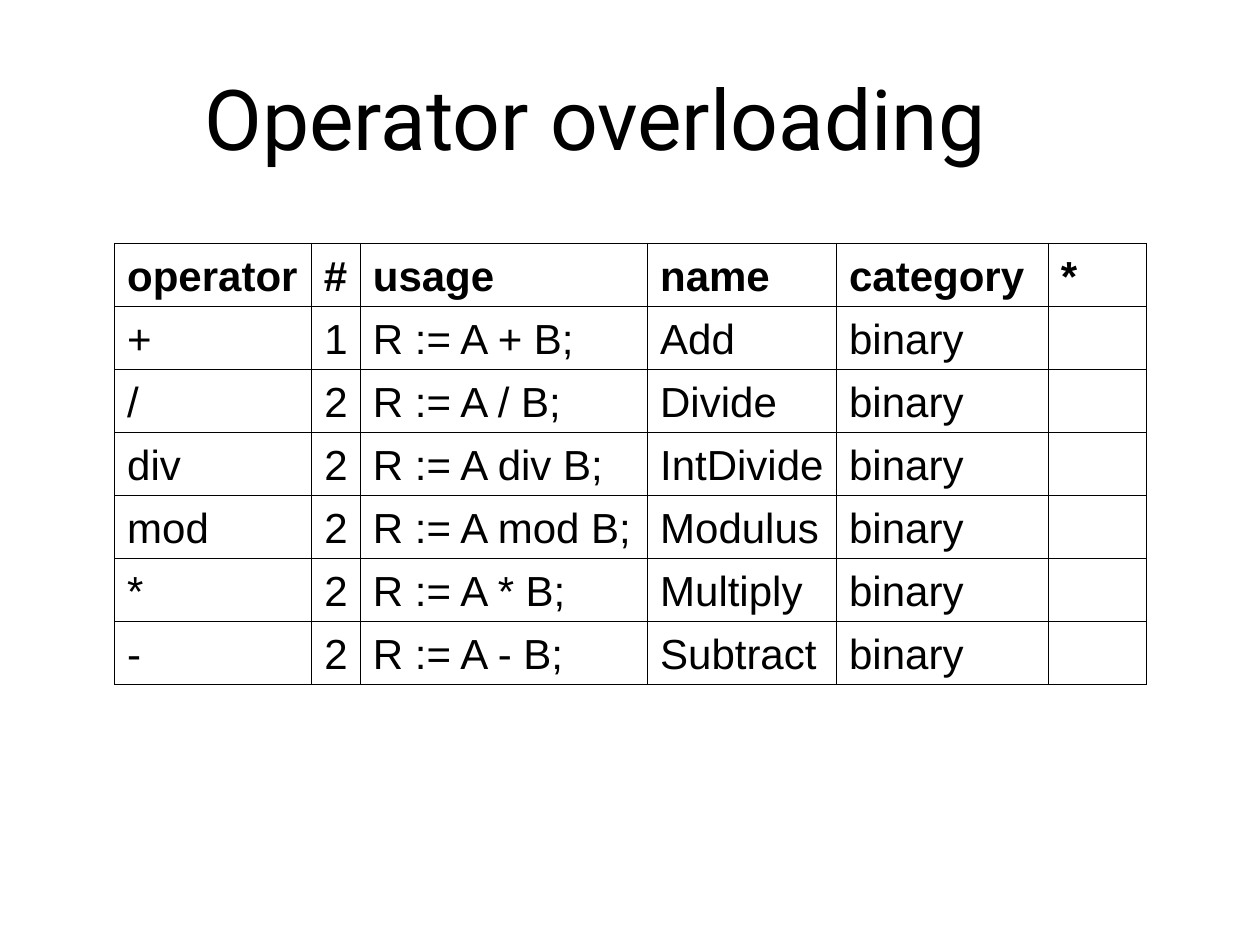
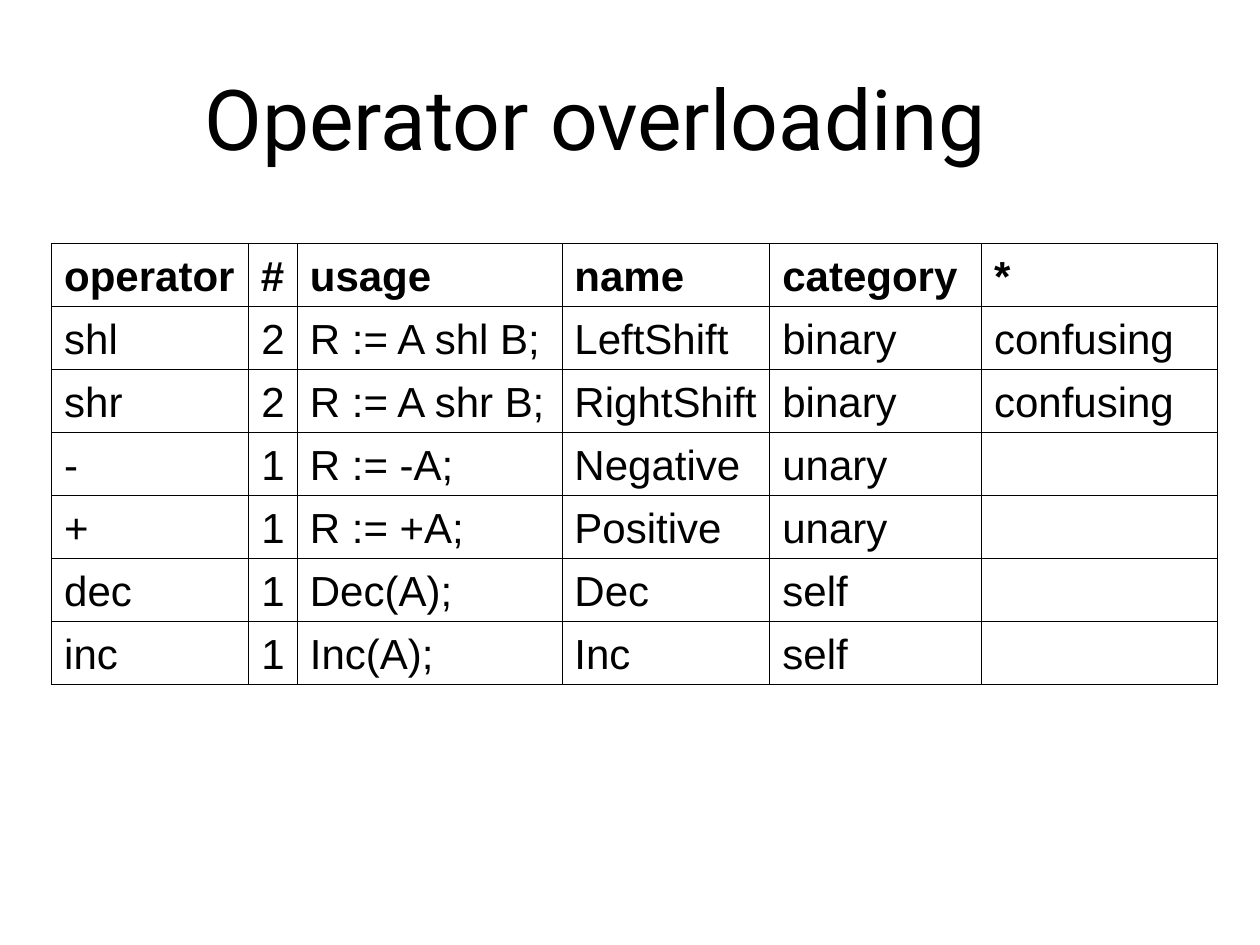
from lxml.etree import SubElement
from pptx import Presentation
from pptx.dml.color import RGBColor
from pptx.enum.text import MSO_ANCHOR, PP_ALIGN
from pptx.oxml.ns import qn
from pptx.util import Inches, Pt

COLORS = {"background": "FFFFFF", "text": "000000", "border": "000000"}
TITLE_FONT, TABLE_FONT = "Roboto", "Arial"
TITLE_BOX = (0, 0.3, 9.45, 1.25)
TABLE_TOP, ROW_HEIGHT = 1.93, 0.5
BORDER_WIDTH = 0.45
HEADINGS = ("operator", "#", "usage", "name", "category", "*")
NUMBER_COLUMN = HEADINGS.index("#")

ARITHMETIC_ROWS = [
    ("+", "1", "R := A + B;", "Add", "binary", ""),
    ("/", "2", "R := A / B;", "Divide", "binary", ""),
    ("div", "2", "R := A div B;", "IntDivide", "binary", ""),
    ("mod", "2", "R := A mod B;", "Modulus", "binary", ""),
    ("*", "2", "R := A * B;", "Multiply", "binary", ""),
    ("-", "2", "R := A - B;", "Subtract", "binary", ""),
]
SHIFT_AND_UNARY_ROWS = [
    ("shl", "2", "R := A shl B;", "LeftShift", "binary", "confusing"),
    ("shr", "2", "R := A shr B;", "RightShift", "binary", "confusing"),
    ("-", "1", "R := -A;", "Negative", "unary", ""),
    ("+", "1", "R := +A;", "Positive", "unary", ""),
    ("dec", "1", "Dec(A);", "Dec", "self", ""),
    ("inc", "1", "Inc(A);", "Inc", "self", ""),
]


def write_text(text_frame, text, *, font, size, bold=False,
               align=PP_ALIGN.LEFT, color="text"):
    paragraph = text_frame.paragraphs[0]
    paragraph.alignment = align
    run = paragraph.add_run()
    run.text = text
    run.font.name = font
    run.font.size = Pt(size)
    run.font.bold = bold
    run.font.color.rgb = RGBColor.from_string(COLORS[color])


def add_title(slide, text, box):
    shape = slide.shapes.add_textbox(*map(Inches, box))
    shape.text_frame.word_wrap = True
    shape.text_frame.vertical_anchor = MSO_ANCHOR.MIDDLE
    write_text(shape.text_frame, text, font=TITLE_FONT, size=48,
               align=PP_ALIGN.CENTER)


def style_cell(cell):
    # Borders come before the fill in the cell properties
    properties = cell._tc.get_or_add_tcPr()
    for side in ("lnL", "lnR", "lnT", "lnB"):
        line = SubElement(properties, qn(f"a:{side}"), w=str(Pt(BORDER_WIDTH)))
        fill = SubElement(line, qn("a:solidFill"))
        SubElement(fill, qn("a:srgbClr"), val=COLORS["border"])
    cell.fill.background()
    cell.vertical_anchor = MSO_ANCHOR.BOTTOM
    cell.margin_left = cell.margin_right = Inches(0.1)
    cell.margin_top = cell.margin_bottom = Inches(0.05)


def add_operator_table(slide, rows, left, top, widths):
    rows = [HEADINGS, *rows]
    table = slide.shapes.add_table(
        len(rows), len(widths), Inches(left), Inches(top),
        Inches(sum(widths)), Inches(ROW_HEIGHT * len(rows))).table
    table.first_row = table.horz_banding = False
    for column, width in zip(table.columns, widths):
        column.width = Inches(width)
    for row_index, values in enumerate(rows):
        is_header = row_index == 0
        for column_index, value in enumerate(values):
            cell = table.cell(row_index, column_index)
            style_cell(cell)
            is_number = column_index == NUMBER_COLUMN and not is_header
            if value:
                write_text(cell.text_frame, value, font=TABLE_FONT, size=24,
                           bold=is_header,
                           align=PP_ALIGN.RIGHT if is_number else PP_ALIGN.LEFT)


def add_operator_slide(presentation, rows, left, usage, name, note):
    slide = presentation.slides.add_slide(presentation.slide_layouts[6])
    slide.background.fill.solid()
    slide.background.fill.fore_color.rgb = RGBColor.from_string(
        COLORS["background"])
    add_title(slide, "Operator overloading", TITLE_BOX)
    # Only the usage, name and note columns vary in width
    add_operator_table(slide, rows, left, TABLE_TOP,
                       (1.56, 0.39, usage, name, 1.68, note))


presentation = Presentation()
presentation.slide_width = Inches(10)
presentation.slide_height = Inches(7.5)
add_operator_slide(presentation, ARITHMETIC_ROWS, left=0.91,
                   usage=2.28, name=1.5, note=0.78)
add_operator_slide(presentation, SHIFT_AND_UNARY_ROWS, left=0.41,
                   usage=2.1, name=1.65, note=1.87)
presentation.save("out.pptx")
